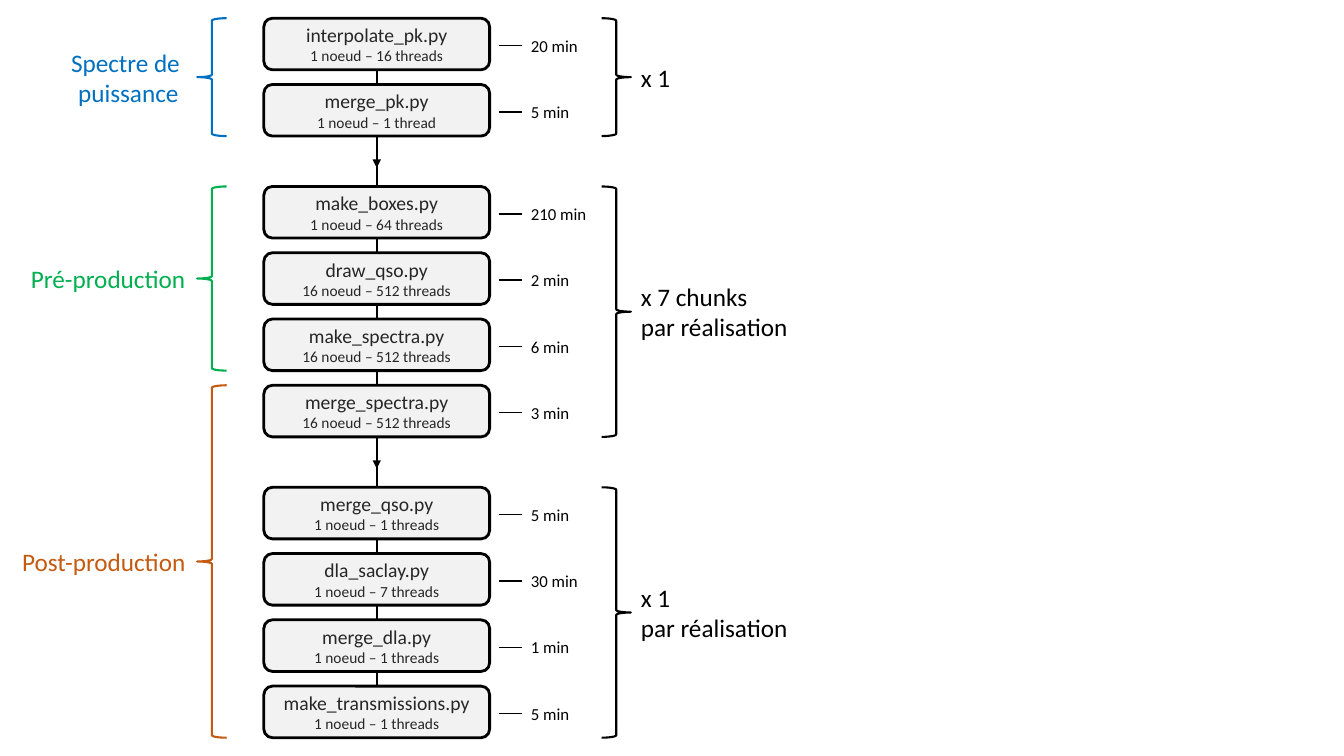
from lxml import etree
from pptx import Presentation
from pptx.dml.color import RGBColor
from pptx.enum.shapes import MSO_CONNECTOR, MSO_SHAPE
from pptx.enum.text import MSO_ANCHOR, PP_ALIGN
from pptx.oxml.ns import qn
from pptx.util import Cm, Pt

ROUND = MSO_SHAPE.ROUNDED_RECTANGLE
OPEN, CLOSE = MSO_SHAPE.LEFT_BRACE, MSO_SHAPE.RIGHT_BRACE
STRAIGHT = MSO_CONNECTOR.STRAIGHT
MIDDLE = MSO_ANCHOR.MIDDLE
LEFT, CENTER = PP_ALIGN.LEFT, PP_ALIGN.CENTER

BLACK = RGBColor(0x00, 0x00, 0x00)
DARK = RGBColor(0x26, 0x26, 0x26)
PALE = RGBColor(0xF2, 0xF2, 0xF2)
BLUE = RGBColor(0x00, 0x70, 0xC0)
GREEN = RGBColor(0x00, 0xB0, 0x50)
RUST = RGBColor(0xC5, 0x5A, 0x11)

# Lengths in centimetres
BOX_X, BOX_W, BOX_H = 6.65, 5.69, 1.3
TOP, PITCH, BREAK = 0.46, 1.67, 0.9
AXIS = BOX_X + BOX_W / 2
TICK_X, TICK_W, DROP = 12.57, 0.58, 0.04
BRACE_W, OPEN_X, CLOSE_X = 0.74, 4.97, 15.16
NAME_END, COUNT_X = 4.95, 15.9

# Script, resources, duration
STAGES = [
    [("interpolate_pk.py", "1 noeud – 16 threads", "20 min"),
     ("merge_pk.py", "1 noeud – 1 thread", "5 min")],
    [("make_boxes.py", "1 noeud – 64 threads", "210 min"),
     ("draw_qso.py", "16 noeud – 512 threads", "2 min"),
     ("make_spectra.py", "16 noeud – 512 threads", "6 min"),
     ("merge_spectra.py", "16 noeud – 512 threads", "3 min")],
    [("merge_qso.py", "1 noeud – 1 threads", "5 min"),
     ("dla_saclay.py", "1 noeud – 7 threads", "30 min"),
     ("merge_dla.py", "1 noeud – 1 threads", "1 min"),
     ("make_transmissions.py", "1 noeud – 1 threads", "5 min")],
]
# Lines, width, first box, last box, colour
PHASES = [
    (["Spectre de ", "puissance"], 3.43, 0, 1, BLUE),
    (["Pré-production"], 4.45, 2, 4, GREEN),
    (["Post-production"], 4.67, 5, 9, RUST),
]
# Lines, width, first box, last box
COUNTS = [
    (["x 1"], 1.27, 0, 1),
    (["x 7 chunks", "par réalisation"], 4.24, 2, 5),
    (["x 1", "par réalisation"], 4.24, 6, 9),
]


class Chart:
    """Style and drawing methods for one slide."""

    font = "Calibri"

    def __init__(self, slide):
        """Keep the slide to draw on."""
        self.shapes = slide.shapes

    def set_text(self, frame, lines, sizes, color, align):
        """Fill a text frame with one paragraph per line."""
        frame.vertical_anchor = MIDDLE
        for i, (line, size) in enumerate(zip(lines, sizes)):
            para = frame.add_paragraph() if i else frame.paragraphs[0]
            para.text = line
            para.alignment = align
            para.font.name = self.font
            para.font.size = Pt(size)
            para.font.color.rgb = color

    def box(self, top, name, load):
        """Draw the box of one script."""
        box = self.shapes.add_shape(ROUND, Cm(BOX_X), Cm(top), Cm(BOX_W), Cm(BOX_H))
        box.shadow.inherit = False
        box.fill.solid()
        box.fill.fore_color.rgb = PALE
        box.line.color.rgb = BLACK
        box.line.width = Pt(2)
        self.set_text(box.text_frame, [name, load], [14, 11], DARK, CENTER)

    def brace(self, kind, x, top, end, color):
        """Draw a brace from top to end."""
        brace = self.shapes.add_shape(kind, Cm(x), Cm(top), Cm(BRACE_W), Cm(end - top))
        brace.shadow.inherit = False
        brace.fill.background()
        brace.line.color.rgb = color
        brace.line.width = Pt(1.5)

    def label(self, x, mid, width, lines, size, color=BLACK, align=LEFT):
        """Add text centred vertically on mid."""
        high = 0.25 + len(lines) * size * 0.043
        text = self.shapes.add_textbox(Cm(x), Cm(mid - high / 2), Cm(width), Cm(high))
        text.text_frame.word_wrap = False
        self.set_text(text.text_frame, lines, [size] * len(lines), color, align)

    def line(self, x, y, end_x, end_y, width, arrow=False):
        """Draw a straight black line, with an arrowhead if asked."""
        line = self.shapes.add_connector(STRAIGHT, Cm(x), Cm(y), Cm(end_x), Cm(end_y))
        line.line.color.rgb = BLACK
        line.line.width = Pt(width)
        props = line.element.spPr
        if arrow:
            etree.SubElement(props.find(qn("a:ln")), qn("a:tailEnd"), type="triangle")
        etree.SubElement(props, qn("a:effectLst"))


def main():
    """Build the slide and save it."""
    deck = Presentation()
    deck.slide_width, deck.slide_height = Cm(33.87), Cm(19.05)
    chart = Chart(deck.slides.add_slide(deck.slide_layouts[6]))

    steps = [(stage, step) for stage, group in enumerate(STAGES) for step in group]
    tops = [TOP + i * PITCH + stage * BREAK for i, (stage, _) in enumerate(steps)]
    ends = [top + BOX_H for top in tops]

    chart.line(AXIS, tops[0], AXIS, ends[-1], 1.5)
    for top, (_, (name, load, time)) in zip(tops, steps):
        chart.box(top, name, load)
        mid = top + BOX_H / 2 + DROP
        chart.line(TICK_X, mid, TICK_X + TICK_W, mid, 1)
        chart.label(TICK_X + TICK_W - 0.02, mid, 1.9, [time], 12)

    for lines, width, first, last, color in PHASES:
        top, end = tops[first], ends[last]
        chart.brace(OPEN, OPEN_X, top, end, color)
        chart.label(NAME_END - width, (top + end) / 2, width, lines, 18, color, CENTER)

    for lines, width, first, last in COUNTS:
        top, end = tops[first], ends[last]
        chart.brace(CLOSE, CLOSE_X, top, end, BLACK)
        chart.label(COUNT_X, (top + end) / 2, width, lines, 18)
        if end != ends[-1]:
            chart.line(AXIS, end + 0.12, AXIS, end + 0.8, 1.5, arrow=True)

    deck.save("out.pptx")


main()
